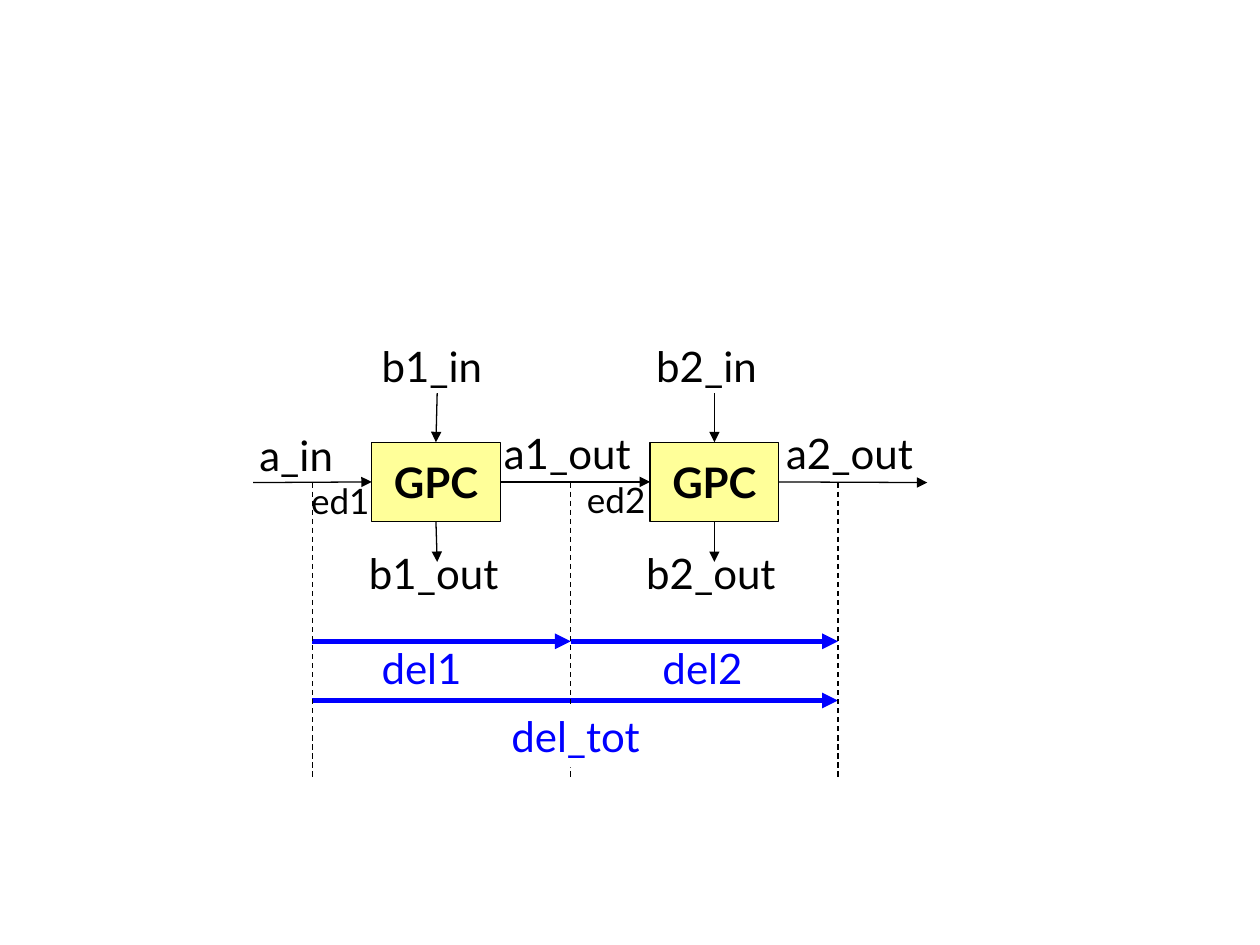
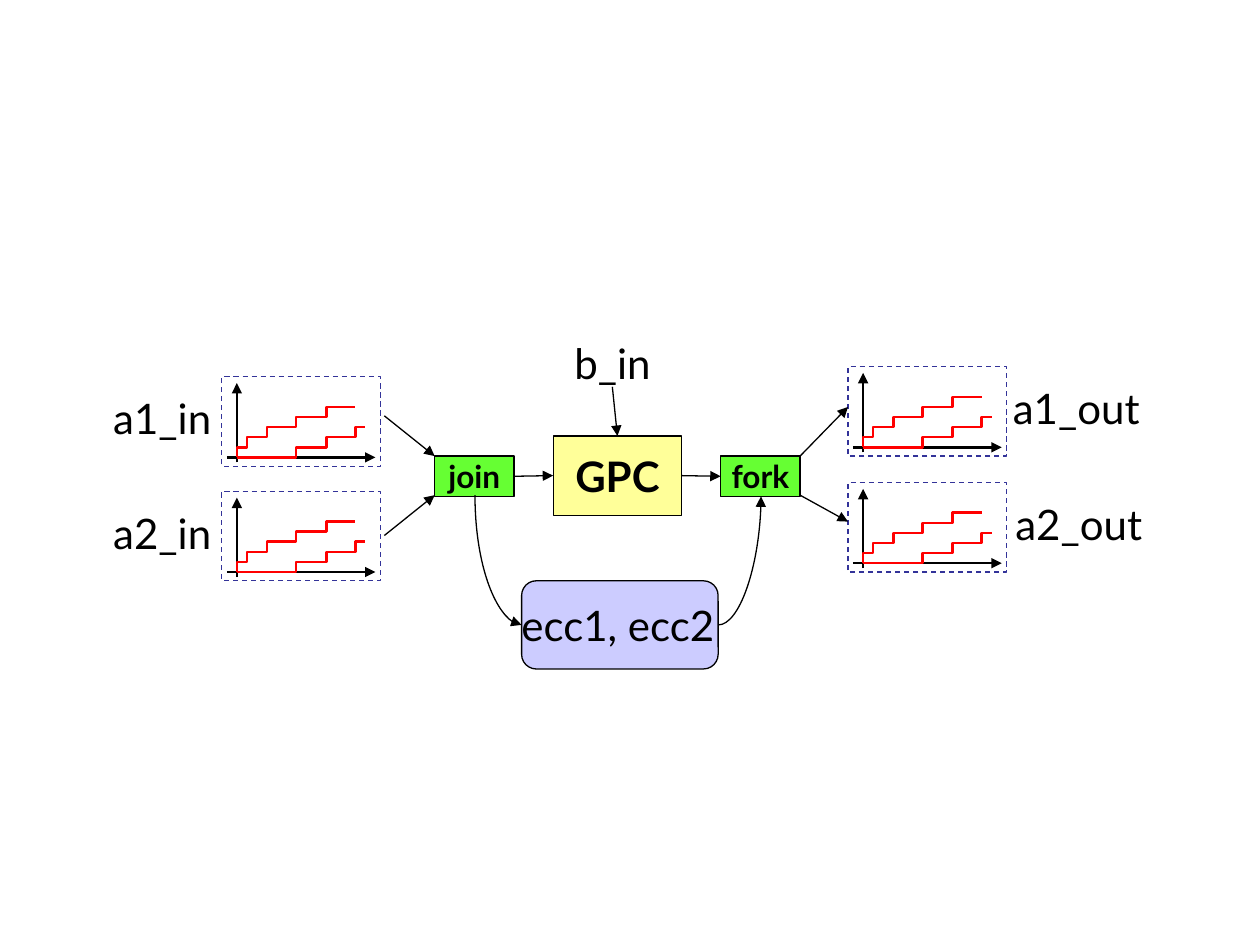
"""Build two slides on chained and shared GPC blocks."""
from dataclasses import dataclass

from lxml import etree
from pptx import Presentation
from pptx.dml.color import RGBColor
from pptx.enum import dml, shapes, text
from pptx.oxml.ns import qn
from pptx.util import Pt

PX = 9144
SIZE = (1000, 750)
TOP, LEFT, BOTTOM, RIGHT = range(4)


@dataclass(frozen=True)
class Theme:
    """Font, colours, type sizes and line widths."""
    font: str = "Lato"
    ink: str = "000000"
    blue: str = "0000FF"
    red: str = "FF0000"
    navy: str = "333399"
    white: str = "FFFFFF"
    yellow: str = "FFFF99"
    green: str = "66FF33"
    lilac: str = "CCCCFF"
    big: int = 24
    mid: int = 20
    small: int = 18
    thin: float = 0.75
    bold: float = 1.5
    thick: int = 3


T = Theme()
GPC = ("GPC", 102, 63, T.yellow, T.big)
JOIN = ("join", 63, 32, T.green, T.small)
FORK = ("fork", 63, 32, T.green, T.small)

CHAIN = {
    "nodes": {"one": (295, 351, GPC), "two": (516, 351, GPC)},
    "links": [
        ((347, 312), ("one", TOP)), (("one", BOTTOM), (347, 446)),
        ((567, 312), ("two", TOP)), (("two", BOTTOM), (567, 446)),
        ((201, 383), ("one", LEFT)), (("one", RIGHT), ("two", LEFT)),
        (("two", RIGHT), (736, 383)),
    ],
    "labels": [
        ("b1_in", 293, 265, 103), ("b1_out", 283, 430, 127),
        ("b2_in", 511, 265, 103), ("b2_out", 503, 430, 127),
        ("a_in", 196, 336, 82), ("a1_out", 390, 334, 125),
        ("a2_out", 614, 334, 125),
    ],
    "edges": [("ed1", 237, 376, 69), ("ed2", 456, 375, 69)],
}
MARKS = (248, 453, 665)
DROP = (383, 619)
SPANS = [(0, 1, 509), (1, 2, 509), (0, 2, 556)]
DELAYS = [("del1", 293, 505, 87), ("del2", 516, 505, 87)]
TOTAL = ("del_tot", 396, 559, 127)

SHARED = {
    "nodes": {"join": (345, 362, JOIN), "gpc": (439, 346, GPC),
              "fork": (572, 362, FORK)},
    "links": [
        ((486, 307), ("gpc", TOP)),
        (("join", RIGHT), ("gpc", LEFT)), (("gpc", RIGHT), ("fork", LEFT)),
        ((305, 330), (345, 362)), ((305, 425), (345, 393)),
        ((635, 362), (673, 323)), ((635, 393), (673, 414)),
    ],
    "labels": [
        ("a1_in", 80, 307, 102), ("a2_in", 80, 398, 102),
        ("a1_out", 794, 299, 125), ("a2_out", 796, 391, 125),
        ("b_in", 446, 263, 84), ("ecc1, ecc2", 404, 471, 177),
    ],
    "edges": [],
}
PLOTS = [(176, 299), (673, 291), (176, 390), (673, 383)]
FRAME = (126, 71)
AXES = [((4, 64), (122, 64)), ((12, 68), (12, 5))]
ZERO, RISE = (12, 64), 8
STAIRS = [(59, 83, 106, 114), (12, 20, 36, 59, 83, 106)]
STORE = (414, 461, 156, 70)
CURVES = [((447, 426), (344, 463), 270), ((570, 496), (604, 394), 0)]


def emu(*nums):
    """Turn px into EMU."""
    return [n * PX for n in nums]


def pen(line, hue, width, dash=False):
    """Style a line or an outline."""
    line.color.rgb = RGBColor.from_string(hue)
    line.width = Pt(width)
    if dash:
        line.dash_style = dml.MSO_LINE.DASH


def paint(shape, hue):
    """Fill a shape with one colour."""
    shape.fill.solid()
    shape.fill.fore_color.rgb = RGBColor.from_string(hue)


def write(shape, words, size, hue=T.ink, bold=False):
    """Put one run into a shape and return its paragraph."""
    frame = shape.text_frame
    frame.word_wrap = False
    para = frame.paragraphs[0]
    run = para.add_run()
    run.text = words
    run.font.name, run.font.size, run.font.bold = T.font, Pt(size), bold
    run.font.color.rgb = RGBColor.from_string(hue)
    return para


def block(tree, kind, box, fill, hue=T.ink, dash=False):
    """Add a filled and outlined preset shape."""
    shape = tree.add_shape(kind, *emu(*box))
    shape.shadow.inherit = False
    paint(shape, fill)
    pen(shape.line, hue, T.thin, dash)
    return shape


def node(tree, x, y, kind):
    """Add a block with a bold centred name."""
    words, wide, high, fill, size = kind
    shape = block(tree, shapes.MSO_SHAPE.RECTANGLE, (x, y, wide, high), fill)
    shape.text_frame.vertical_anchor = text.MSO_ANCHOR.MIDDLE
    write(shape, words, size, bold=True).alignment = text.PP_ALIGN.CENTER


def label(tree, words, x, y, wide, size=T.big, hue=T.ink):
    """Add free text."""
    high = 50 if size == T.big else 44
    box = tree.add_textbox(*emu(x, y, wide, high))
    write(box, words, size, hue)
    box.text_frame.auto_size = text.MSO_AUTO_SIZE.SHAPE_TO_FIT_TEXT
    return box


def wire(tree, start, end, hue=T.ink, width=T.thin, dash=False, head=True,
         kind=shapes.MSO_CONNECTOR.STRAIGHT):
    """Add a connector, with an arrowhead by default."""
    link = tree.add_connector(kind, *emu(*start, *end))
    pen(link.line, hue, width, dash)
    if head:
        ln = link.line._get_or_add_ln()
        etree.SubElement(ln, qn("a:tailEnd"), type="triangle")
    etree.SubElement(link.element.spPr, qn("a:effectLst"))
    return link


def bend(tree, start, end, turn):
    """Add a quarter-curve arrow, turned by some degrees."""
    link = wire(tree, start, end, kind=shapes.MSO_CONNECTOR.CURVE)
    props = link.element.spPr
    props.find(qn("a:prstGeom")).set("prst", "curvedConnector2")
    props.find(qn("a:xfrm")).set("rot", str(turn * 60000))


def join(tree, nodes, start, end):
    """Add an arrow between points or sides of nodes."""
    spots = [(0, 0) if spot[0] in nodes else spot for spot in (start, end)]
    link = wire(tree, *spots)
    if start[0] in nodes:
        link.begin_connect(nodes[start[0]], start[1])
    if end[0] in nodes:
        link.end_connect(nodes[end[0]], end[1])


def draw(tree, scene):
    """Add the nodes, links and labels of a scene."""
    nodes = {}
    for name, spot in scene["nodes"].items():
        node(tree, *spot)
        nodes[name] = tree[-1]
    for start, end in scene["links"]:
        join(tree, nodes, start, end)
    for item in scene["labels"]:
        label(tree, *item)
    for item in scene["edges"]:
        label(tree, *item, size=T.mid)


def climb(turns):
    """Return the corners of a staircase that rises at each turn but the last."""
    x, y = ZERO
    spots = [(x, y)]
    for turn in turns:
        spots += [(turn, y), (turn, y - RISE)]
        y -= RISE
    return spots[:-1]


def plot(tree, left, top):
    """Add a framed pair of step curves."""
    def move(spots):
        return [(left + x, top + y) for x, y in spots]

    group = tree.add_group_shape().shapes
    block(group, shapes.MSO_SHAPE.RECTANGLE, (left, top, *FRAME),
          T.white, T.navy, True)
    for axis in AXES:
        wire(group, *move(axis), width=T.bold)
    for turns in STAIRS:
        first, *rest = move(climb(turns))
        path = group.build_freeform(*first, scale=PX)
        path.add_line_segments(rest, close=False)
        curve = path.convert_to_shape()
        curve.shadow.inherit = False
        curve.fill.background()
        pen(curve.line, T.red, T.bold)


def chain(tree):
    """Draw two blocks in a row and their delays."""
    draw(tree, CHAIN)
    for a, b, y in SPANS:
        wire(tree, (MARKS[a], y), (MARKS[b], y), T.blue, T.thick)
    for x in MARKS:
        wire(tree, (x, DROP[0]), (x, DROP[1]), dash=True, head=False)
    for item in DELAYS:
        label(tree, *item, hue=T.blue)
    paint(label(tree, *TOTAL, hue=T.blue), T.white)


def shared(tree):
    """Draw one block that serves two joined streams."""
    block(tree, shapes.MSO_SHAPE.ROUNDED_RECTANGLE, STORE, T.lilac)
    for spot in PLOTS:
        plot(tree, *spot)
    draw(tree, SHARED)
    for curve in CURVES:
        bend(tree, *curve)


def main():
    """Build and save the deck."""
    deck = Presentation()
    deck.slide_width, deck.slide_height = emu(*SIZE)
    for build in (chain, shared):
        build(deck.slides.add_slide(deck.slide_layouts[6]).shapes)
    deck.save("out.pptx")


if __name__ == "__main__":
    main()
